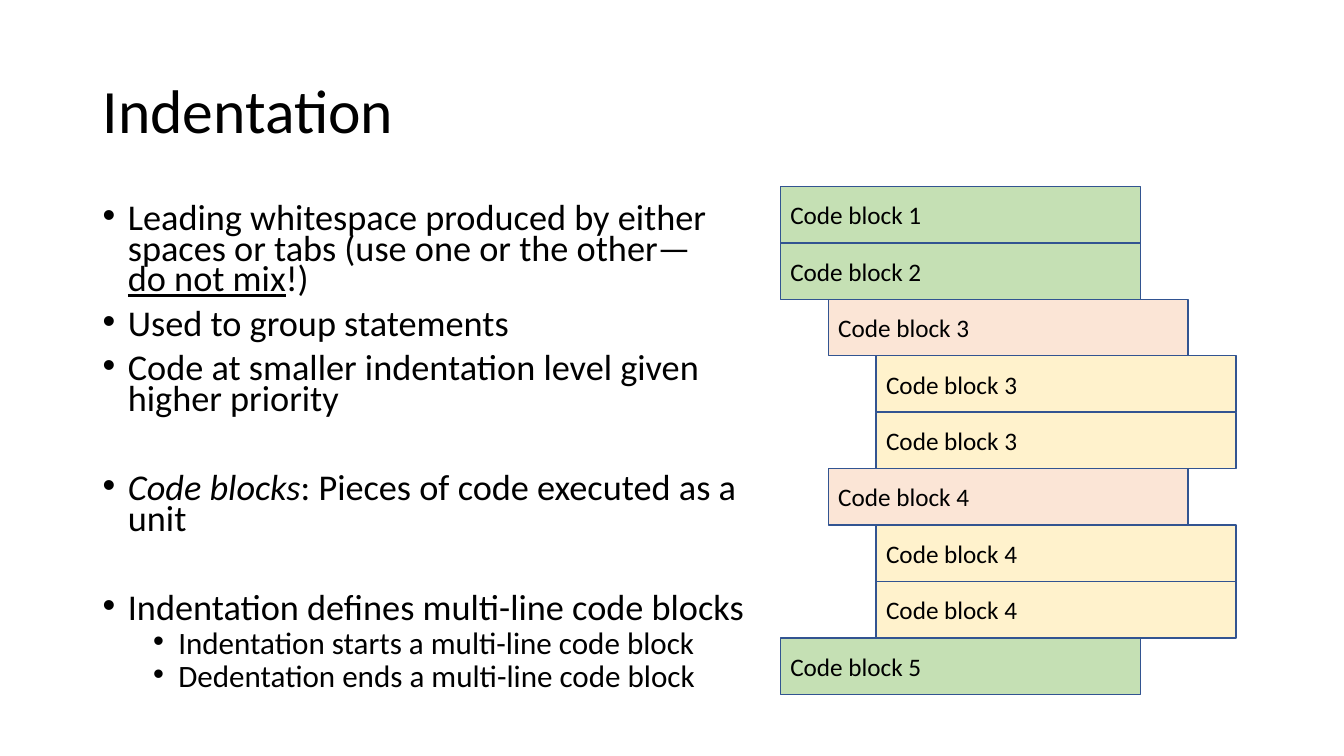
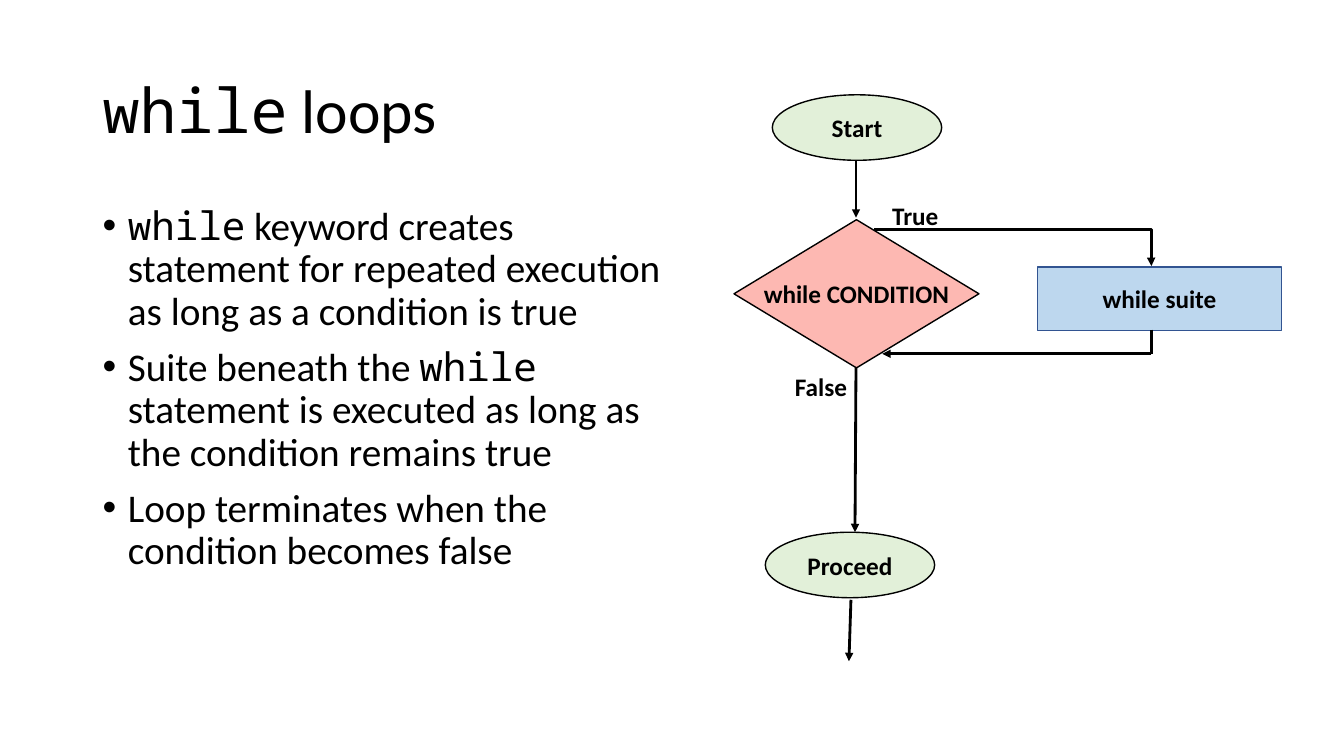
import pptx
import pptx.util
import pptx.dml.color
import pptx.enum.dml
import pptx.enum.shapes
import pptx.enum.text
import pptx.oxml
import pptx.oxml.ns
from lxml import etree

Inches = pptx.util.Inches
Pt = pptx.util.Pt
SHAPE = pptx.enum.shapes.MSO_SHAPE
CONNECTOR = pptx.enum.shapes.MSO_CONNECTOR
ALIGN = pptx.enum.text.PP_ALIGN
ANCHOR = pptx.enum.text.MSO_ANCHOR
qn = pptx.oxml.ns.qn

SANS, MONO = "Calibri", "Noto Sans Mono"
BLACK, NAVY = "000000", "325491"
GREEN, PINK, CREAM = "C5E0B4", "FBE5D6", "FFF2CC"
PALE_GREEN, SALMON, SKY = "E2F0D9", "FC7267", "BDD7EE"

INDENTATION_TITLE = [("Indentation", "")]
INDENTATION_POINTS = [
    (0, 10, [("Leading whitespace produced by either spaces or tabs (use one or the other—\v", ""),
             ("do not mix", "underline"), ("!)", "")]),
    (0, 10, [("Used to group statements", "")]),
    (0, 10, [("Code at smaller indentation level given higher priority", "")]),
    (0, 42, [("Code blocks", "italic"), (": Pieces of code executed as a unit", "")]),
    (0, 42, [("Indentation defines multi-line code blocks", "")]),
    (1, 5, [("Indentation starts a multi-line code block", "")]),
    (1, 5, [("Dedentation ends a multi-line code block", "")]),
]
CODE_BLOCKS = [(1, 0), (2, 0), (3, 1), (3, 2), (3, 2), (4, 1), (4, 2), (4, 2), (5, 0)]
DEPTH_FILLS = [GREEN, PINK, CREAM]

WHILE_TITLE = [("while", "mono"), (" loops", "")]
WHILE_POINTS = [
    (0, 10, [("while", "mono"),
             (" keyword creates statement for repeated execution as long as a condition is true", "")]),
    (0, 10, [("Suite beneath the ", ""), ("while", "mono"),
             (" statement is executed as long as the condition remains true", "")]),
    (0, 10, [("Loop terminates when the condition becomes false", "")]),
]
FLOW_STEPS = [
    ("Start", SHAPE.OVAL, (7.66, 0.94, 1.68, 0.65), PALE_GREEN, BLACK, 100),
    ("while CONDITION", SHAPE.DIAMOND, (7.28, 2.18, 2.43, 1.47), SALMON, BLACK, 50),
    ("while suite", SHAPE.RECTANGLE, (10.29, 2.65, 2.42, 0.63), SKY, NAVY, 100),
    ("Proceed", SHAPE.OVAL, (7.59, 5.28, 1.68, 0.65), PALE_GREEN, BLACK, 100),
]
FLOW_LINES = [
    ((8.49, 1.59), (8.49, 2.16), CONNECTOR.STRAIGHT, True),
    ((8.49, 3.65), (8.48, 5.28), CONNECTOR.STRAIGHT, True),
    ((8.67, 2.28), (11.42, 2.64), CONNECTOR.ELBOW, True),
    ((11.42, 3.27), (11.42, 3.51), CONNECTOR.STRAIGHT, False),
    ((11.42, 3.51), (8.75, 3.51), CONNECTOR.STRAIGHT, True),
    ((8.44, 5.95), (8.42, 6.56), CONNECTOR.STRAIGHT, True),
]
BRANCH_LABELS = [
    ("True", (8.75, 1.94, 1.5, 0.4), ALIGN.LEFT),
    ("False", (7.26, 3.63, 1.24, 0.4), ALIGN.RIGHT),
]


def color(value):
    return pptx.dml.color.RGBColor.from_string(value)


def box(bounds):
    return [Inches(length) for length in bounds]


def style_paragraph(paragraph, size, bold=False, align=ALIGN.LEFT):
    paragraph.alignment = align
    paragraph.font.size = Pt(size)
    paragraph.font.bold = bold
    paragraph.font.name = SANS
    paragraph.font.color.rgb = color(BLACK)


def add_runs(paragraph, pieces):
    for text, style in pieces:
        lines = text.split("\v")
        for index, line in enumerate(lines):
            if index:
                paragraph.add_line_break()
            if not line:
                continue
            run = paragraph.add_run()
            run.text = line
            if style == "mono":
                run.font.name = MONO
            elif style == "italic":
                run.font.italic = True
            elif style == "underline":
                run.font.underline = True


def add_text(slide, bounds, anchor=ANCHOR.TOP):
    frame = slide.shapes.add_textbox(*box(bounds)).text_frame
    frame.word_wrap = True
    frame.vertical_anchor = anchor
    return frame


def add_title(slide, pieces):
    paragraph = add_text(slide, (0.92, 0.4, 11.5, 1.45), ANCHOR.MIDDLE).paragraphs[0]
    style_paragraph(paragraph, 44)
    paragraph.line_spacing = 0.9
    add_runs(paragraph, pieces)


def add_points(slide, bounds, points, sizes, spacing):
    frame = add_text(slide, bounds)
    for index, (level, space_before, pieces) in enumerate(points):
        paragraph = frame.add_paragraph() if index else frame.paragraphs[0]
        style_paragraph(paragraph, sizes[level])
        paragraph.level = level
        paragraph.line_spacing = spacing
        paragraph.space_before = Pt(space_before)
        properties = paragraph._p.get_or_add_pPr()
        properties.set("marL", str(Inches(0.25 + 0.5 * level)))
        properties.set("indent", str(-Inches(0.25)))
        bullet_font = etree.Element(qn("a:buFont"), typeface="Arial")
        bullet = etree.Element(qn("a:buChar"), char="•")
        properties.find(qn("a:defRPr")).addprevious(bullet_font)
        bullet_font.addnext(bullet)
        add_runs(paragraph, pieces)


def add_block(slide, text, kind, bounds, fill, outline, bold=False, align=ALIGN.LEFT, opacity=100):
    block = slide.shapes.add_shape(kind, *box(bounds))
    block.shadow.inherit = False
    block.fill.solid()
    block.fill.fore_color.rgb = color(fill)
    if opacity < 100:
        tint = block._element.spPr.find(qn("a:solidFill"))[0]
        etree.SubElement(tint, qn("a:alpha"), val=str(opacity * 1000))
    block.line.color.rgb = color(outline)
    block.line.width = Pt(1)
    frame = block.text_frame
    frame.word_wrap = False if kind == SHAPE.DIAMOND else True
    frame.vertical_anchor = ANCHOR.MIDDLE
    paragraph = frame.paragraphs[0]
    style_paragraph(paragraph, 18, bold, align)
    add_runs(paragraph, [(text, "")])


def add_flow_line(slide, start, end, kind, arrow):
    line = slide.shapes.add_connector(kind, *box(start + end))
    line.line.color.rgb = color(BLACK)
    line.line.width = Pt(2)
    properties = line._element.spPr
    if kind == CONNECTOR.ELBOW:
        adjustments = properties.find(qn("a:prstGeom")).get_or_add_avLst()
        etree.SubElement(adjustments, qn("a:gd"), name="adj1", fmla="val 99900")
    if arrow:
        etree.SubElement(properties.find(qn("a:ln")), qn("a:tailEnd"), type="triangle")
    etree.SubElement(properties, qn("a:effectLst"))


def add_indentation_slide(slide):
    add_title(slide, INDENTATION_TITLE)
    add_points(slide, (0.92, 2, 6.83, 5.1), INDENTATION_POINTS, (25.9, 22.2), 0.7)
    left, top, width, height, step = 7.74, 1.85, 3.57, 0.56, 0.475
    for row, (number, depth) in enumerate(CODE_BLOCKS):
        bounds = (left + depth * step, top + row * height, width, height)
        add_block(slide, f"Code block {number}", SHAPE.RECTANGLE, bounds, DEPTH_FILLS[depth], NAVY)


def add_while_slide(slide):
    add_title(slide, WHILE_TITLE)
    add_points(slide, (0.92, 2, 5.9, 4.76), WHILE_POINTS, (28,), 0.9)
    for text, kind, bounds, fill, outline, opacity in FLOW_STEPS:
        add_block(slide, text, kind, bounds, fill, outline, True, ALIGN.CENTER, opacity)
    for flow_line in FLOW_LINES:
        add_flow_line(slide, *flow_line)
    for text, bounds, align in BRANCH_LABELS:
        paragraph = add_text(slide, bounds).paragraphs[0]
        style_paragraph(paragraph, 18, True, align)
        add_runs(paragraph, [(text, "")])


def main():
    deck = pptx.Presentation()
    deck.slide_width, deck.slide_height = Inches(13.33), Inches(7.5)
    for fill_slide in (add_indentation_slide, add_while_slide):
        fill_slide(deck.slides.add_slide(deck.slide_layouts[6]))
    deck.save("out.pptx")


if __name__ == "__main__":
    main()
